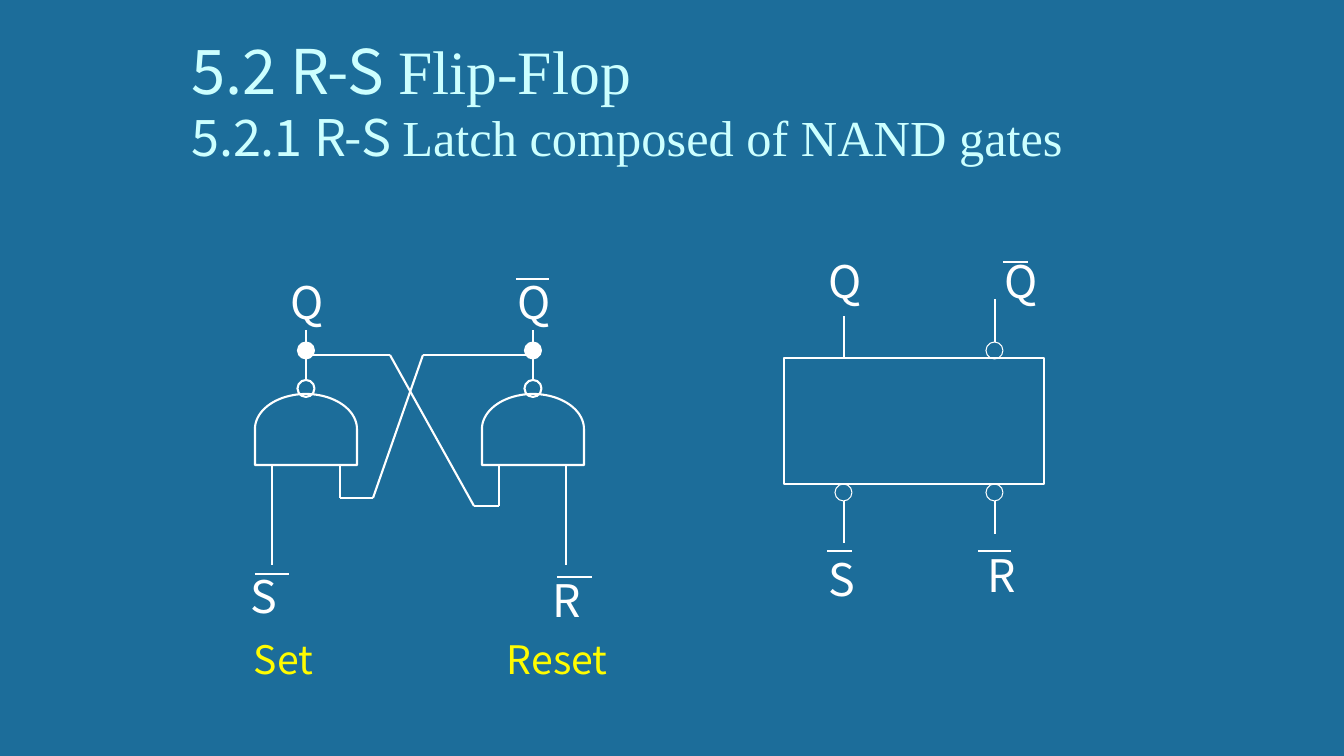
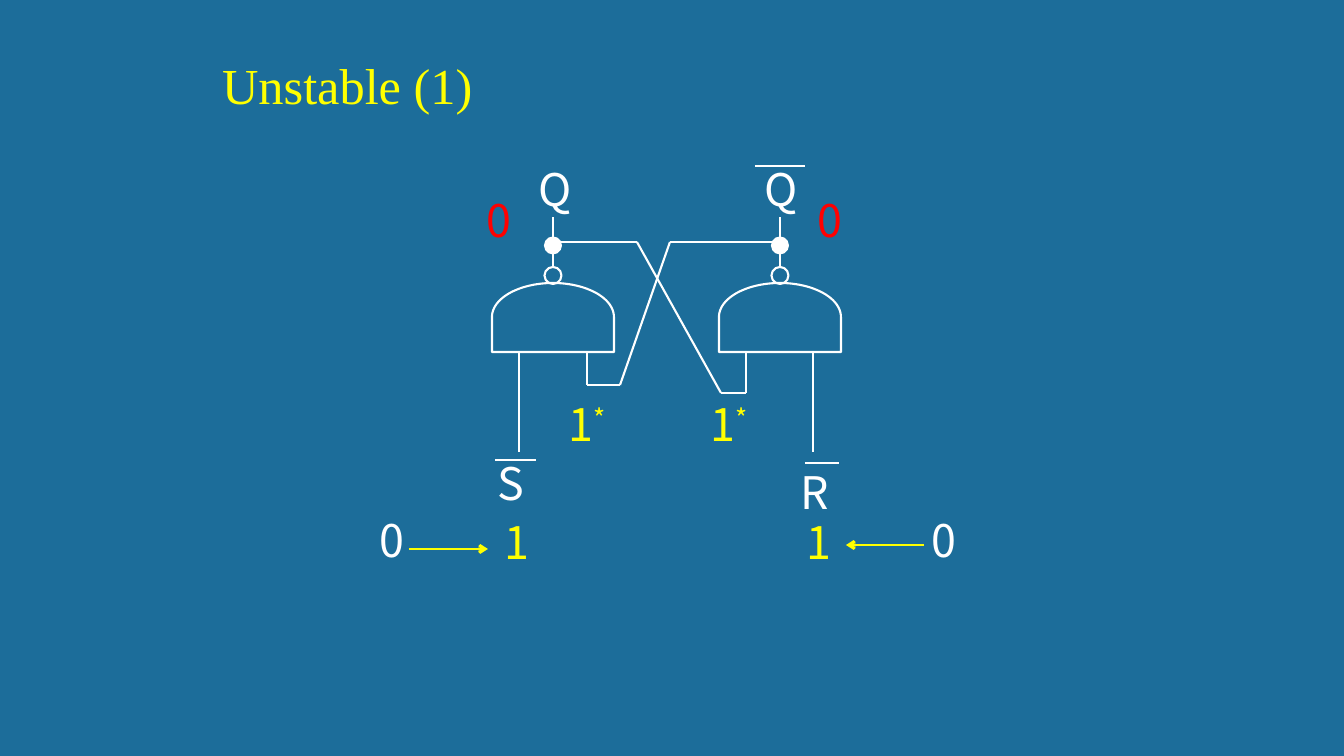
from dataclasses import dataclass
from itertools import pairwise
from math import cos, pi, sin

from lxml.etree import SubElement
from pptx import Presentation
from pptx.dml.color import RGBColor as Color
from pptx.enum.shapes import MSO_CONNECTOR as Connector, MSO_SHAPE as Preset
from pptx.enum.text import MSO_ANCHOR as Anchor, MSO_AUTO_SIZE as AutoSize, PP_ALIGN as Align
from pptx.oxml.ns import qn
from pptx.util import Emu, Pt


@dataclass(frozen=True)
class Theme:
    back: Color = Color.from_string("1C6D9A")
    ink: Color = Color.from_string("FFFFFF")
    title: Color = Color.from_string("CCFFFF")
    yellow: Color = Color.from_string("FFFF00")
    caption: Color = Color.from_string("FFFC00")
    red: Color = Color.from_string("FF0000")
    sans: str = "Noto Sans CJK SC"
    serif: str = "Times New Roman"
    big: int = 44
    medium: int = 36
    letter: int = 32
    small: int = 28
    thin: float = 0.75
    stroke: float = 1.5
    arrow: float = 2


theme = Theme()
EMU_PER_PX = 914400 / 100.8
BUBBLE = 17
GATE_GAP = 227
GATE_BASE = 135


def px(length):
    return Emu(round(length * EMU_PER_PX))


def write(para, text, font, size, color):
    span = para.add_run()
    span.text = text
    span.font.name = font
    span.font.size = Pt(size)
    span.font.color.rgb = color
    return span


slides = [
    {
        "title_at": (181, 26, 1014, 146),
        "title": [
            [("5.2 R-S ", theme.sans, theme.big, theme.title),
             ("Flip-Flop", theme.serif, theme.big, theme.title)],
            [("5.2.1 R-S ", theme.sans, theme.medium, theme.title),
             ("Latch composed of NAND gates", theme.serif, theme.medium, theme.title)],
        ],
        "latch": (306, 330),
        "dot_drop": 12,
        "gate": (102, 64, 35),
        "symbol": [(784, 358, 260, 126)],
        "pins": [(835, 484), (986, 484), (986, 342)],
        "lines": [
            (844, 501, 844, 543), (995, 501, 995, 534),
            (995, 342, 995, 299), (844, 358, 844, 316),
            (827, 551, 852, 551), (978, 551, 1011, 551), (1003, 262, 1028, 262),
            (516, 279, 549, 279), (255, 574, 289, 574), (557, 577, 592, 577),
        ],
        "arrows": [],
        "labels": [
            (theme.ink, theme.letter, 42, [
                ("Q", 281, 270), ("Q", 508, 270), ("S", 241, 564), ("R", 543, 568),
                ("Q", 819, 249), ("Q", 995, 249), ("S", 819, 547), ("R", 978, 543),
            ]),
            (theme.caption, theme.small, 182, [("Set", 244, 630), ("Reset", 497, 630)]),
        ],
    },
    {
        "title_at": (212, 48, 286, 72),
        "title": [[("Unstable (1)", theme.serif, theme.medium, theme.yellow)]],
        "latch": (553, 217),
        "dot_drop": 20,
        "gate": (122, 66, 34),
        "symbol": [],
        "pins": [],
        "lines": [(755, 166, 805, 166), (495, 460, 536, 460), (805, 463, 839, 463)],
        "arrows": [(409, 549, 488, 549), (924, 545, 846, 545)],
        "labels": [
            (theme.ink, theme.letter, 42, [
                ("Q", 529, 157), ("Q", 755, 157), ("S", 488, 451), ("R", 791, 460),
                ("0", 370, 508), ("0", 922, 508),
            ]),
            (theme.yellow, theme.letter, 42, [("1", 495, 510), ("1", 797, 510)]),
            (theme.yellow, theme.letter, 58, [("1*", 559, 392), ("1*", 701, 392)]),
            (theme.red, theme.letter, 43, [("0", 477, 188), ("0", 808, 188)]),
        ],
    },
]

latch_wires = [
    [(0, 50), (0, 0)],
    [(GATE_GAP, 50), (GATE_GAP, 0)],
    [(0, 25), (84, 25), (168, 176), (193, 176), (193, GATE_BASE)],
    [(GATE_GAP, 25), (117, 25), (67, 168), (34, 168), (34, GATE_BASE)],
    [(-34, GATE_BASE), (-34, 235)],
    [(260, GATE_BASE), (260, 235)],
]

deck = Presentation()
deck.slide_width, deck.slide_height = px(1344), px(756)
master_fill = deck.slide_master.background.fill
master_fill.solid()
master_fill.fore_color.rgb = theme.back

for content in slides:
    page = deck.slides.add_slide(deck.slide_layouts[5])
    title = page.shapes.title
    title.left, title.top, title.width, title.height = map(px, content["title_at"])
    frame = title.text_frame
    frame.auto_size = AutoSize.NONE
    frame.vertical_anchor = Anchor.BOTTOM
    para = frame.paragraphs[0]
    para.alignment = Align.LEFT
    for index, row in enumerate(content["title"]):
        if index:
            para.add_line_break()
        for piece in row:
            write(para, *piece)

    left, top = content["latch"]
    columns = (left, left + GATE_GAP)
    lines = [(line, theme.ink, theme.stroke, False) for line in content["lines"]]
    lines += [(line, theme.yellow, theme.arrow, True) for line in content["arrows"]]
    for wire in latch_wires:
        for (x1, y1), (x2, y2) in pairwise(wire):
            ends = (left + x1, top + y1, left + x2, top + y2)
            lines.append((ends, theme.ink, theme.stroke, False))

    for ends, color, weight, has_head in lines:
        line = page.shapes.add_connector(Connector.STRAIGHT, *map(px, ends))
        line.line.color.rgb = color
        line.line.width = Pt(weight)
        if has_head:
            SubElement(line.line._get_or_add_ln(), qn("a:tailEnd"), type="arrow")
        SubElement(line._element.spPr, qn("a:effectLst"))

    outlines = []
    for area in content["symbol"]:
        box = page.shapes.add_shape(Preset.RECTANGLE, *map(px, area))
        outlines.append((box, theme.stroke, False))

    circles = [(x, y, theme.thin, False) for x, y in content["pins"]]
    for column in columns:
        edge = column - BUBBLE / 2
        circles.append((edge, top + 50, theme.stroke, False))
        circles.append((edge, top + content["dot_drop"], theme.thin, True))
    for x, y, weight, filled in circles:
        circle = page.shapes.add_shape(Preset.OVAL, px(x), px(y), px(BUBBLE), px(BUBBLE))
        outlines.append((circle, weight, filled))

    gate_width, gate_drop, arch = content["gate"]
    shoulder = top + gate_drop + arch
    for column in columns:
        radius = gate_width / 2
        base = top + GATE_BASE
        corners = [(column + radius, base), (column - radius, base)]
        curve = [
            (column - radius * cos(pi * step / 48), shoulder - arch * sin(pi * step / 48))
            for step in range(49)
        ]
        start, *points = [(px(x), px(y)) for x, y in corners + curve]
        builder = page.shapes.build_freeform(*start)
        builder.add_line_segments(points, close=True)
        outlines.append((builder.convert_to_shape(), theme.stroke, False))

    for shape, weight, filled in outlines:
        shape.shadow.inherit = False
        shape.line.color.rgb = theme.ink
        shape.line.width = Pt(weight)
        if filled:
            shape.fill.solid()
            shape.fill.fore_color.rgb = theme.ink
        else:
            shape.fill.background()

    for color, size, width, labels in content["labels"]:
        for text, x, y in labels:
            box = page.shapes.add_textbox(px(x), px(y), px(width), px(63))
            box.text_frame.word_wrap = False
            box.text_frame.auto_size = AutoSize.NONE if width > 100 else AutoSize.SHAPE_TO_FIT_TEXT
            box.text_frame.word_wrap = width > 100
            para = box.text_frame.paragraphs[0]
            for symbol in text.partition("*")[:2]:
                if symbol:
                    span = write(para, symbol, theme.sans, size, color)
                    if symbol == "*":
                        span.font._element.set("baseline", "30000")

deck.save("out.pptx")
